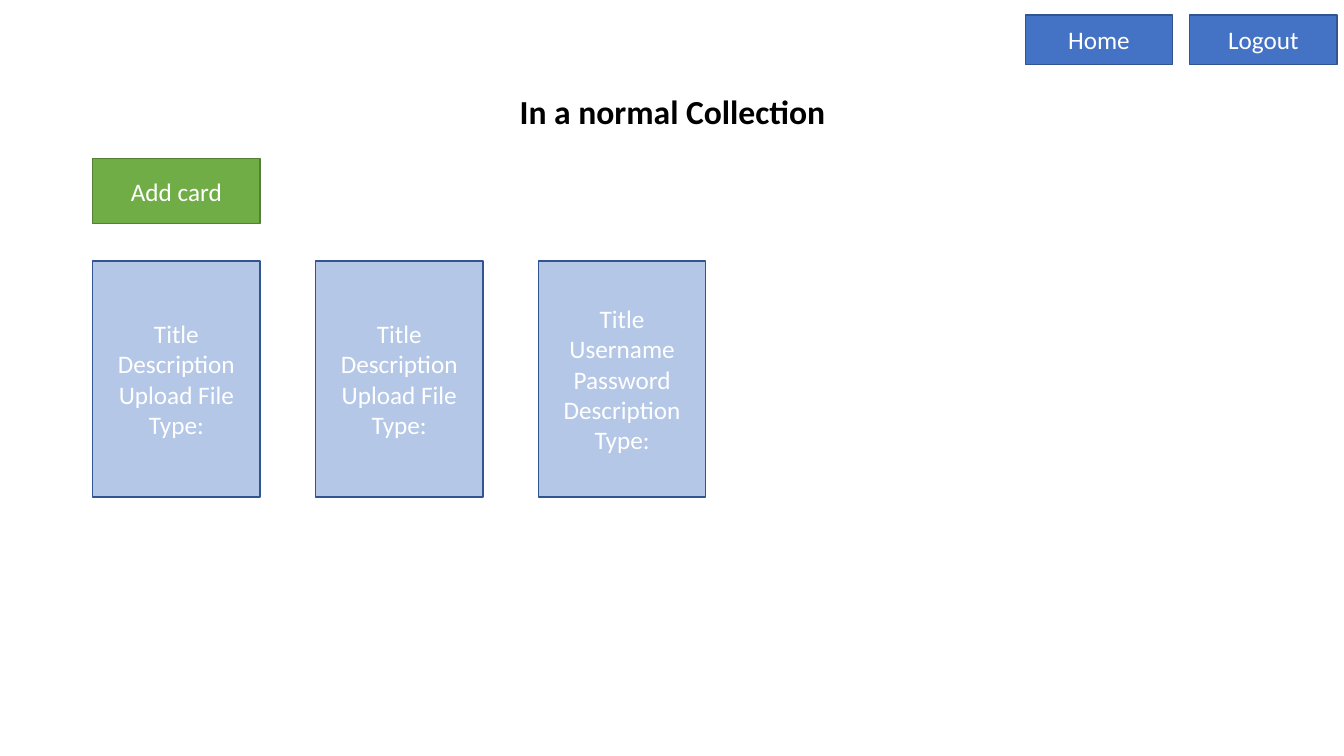
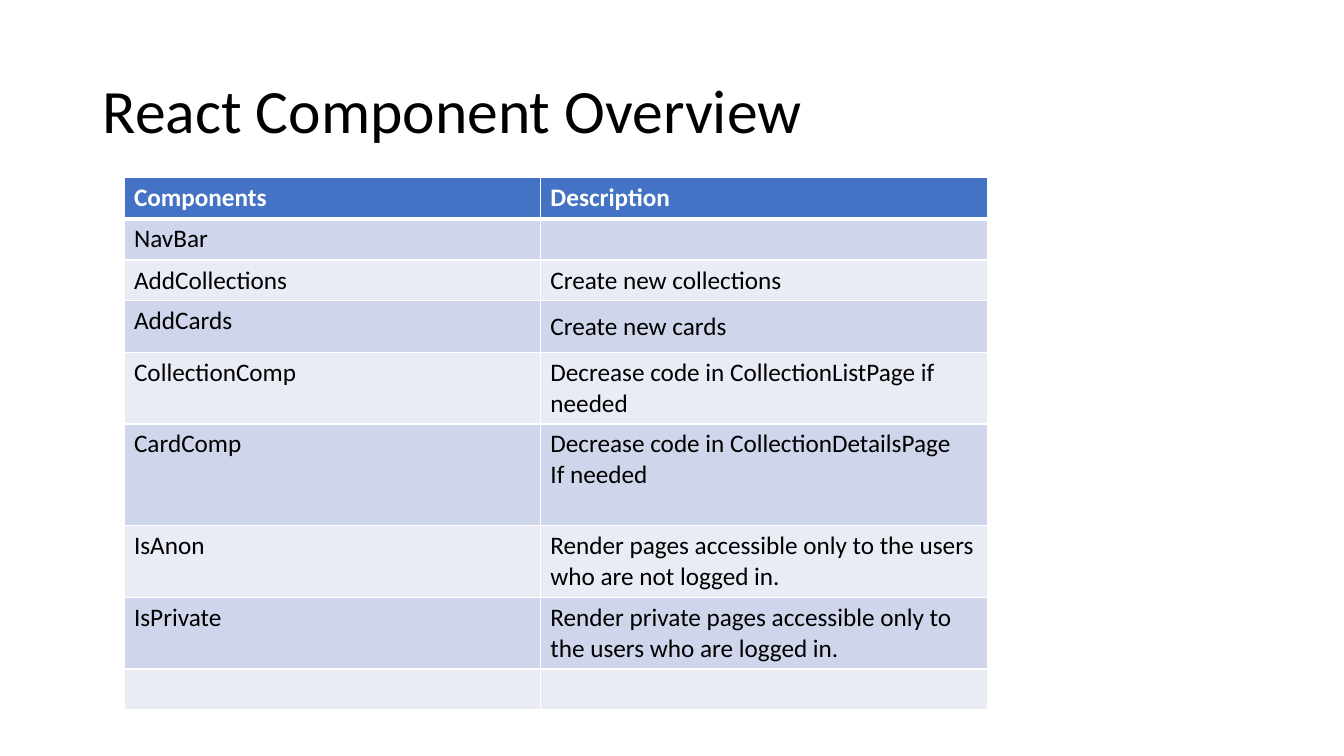
import pptx
import pptx.dml.color
import pptx.enum.shapes
import pptx.enum.text
import pptx.oxml.ns
import pptx.util
from lxml import etree

PX = 9144  # EMU per px, 100 px to the inch
TITLE_ONLY = 5
ALIGN = pptx.enum.text.PP_ALIGN
ANCHOR = pptx.enum.text.MSO_ANCHOR

# Shared colours
BLACK, WHITE = "000000", "FFFFFF"
BLUE, BLUE_EDGE = "4472C4", "325491"
GREEN, GREEN_EDGE = "70AD47", "538035"
CARD_BLUE = "B4C7E7"
BANDS = ("CFD5EA", "E9EBF5")


def px(length):
    return pptx.util.Emu(length * PX)


def color(code):
    return pptx.dml.color.RGBColor.from_string(code)


def apply(target, values):
    for name, value in values.items():
        setattr(target, name, value)


class SlideBuilder:
    """Holds the style and the current slide."""

    font = "Calibri"
    text_size = 18

    def __init__(self, deck):
        self.deck = deck
        self.page = None

    def new_page(self, title, **style):
        layout = self.deck.slide_layouts[TITLE_ONLY]
        self.page = self.deck.slides.add_slide(layout)
        box = self.page.shapes.title
        apply(box, {"left": px(92), "top": px(40),
                    "width": px(1150), "height": px(145)})
        apply(box.text_frame, {"word_wrap": True,
                               "auto_size": pptx.enum.text.MSO_AUTO_SIZE.NONE,
                               "vertical_anchor": ANCHOR.MIDDLE})
        self.add_text(box.text_frame, [title], line_spacing=0.9, **style)

    def add_text(self, frame, lines, size=text_size, code=BLACK, bold=False,
                 align=ALIGN.LEFT, line_spacing=1.0):
        for index, line in enumerate(lines):
            para = frame.add_paragraph() if index else frame.paragraphs[0]
            apply(para, {"alignment": align, "line_spacing": line_spacing})
            span = para.add_run()
            span.text = line
            apply(span.font, {"name": self.font, "bold": bold,
                              "size": pptx.util.Pt(size)})
            span.font.color.rgb = color(code)

    def box(self, left, top, width, height, lines, fill, edge):
        box = self.page.shapes.add_shape(
            pptx.enum.shapes.MSO_SHAPE.RECTANGLE,
            px(left), px(top), px(width), px(height))
        box.shadow.inherit = False
        box.fill.solid()
        box.fill.fore_color.rgb = color(fill)
        box.line.color.rgb = color(edge)
        box.line.width = pptx.util.Pt(1)
        apply(box.text_frame, {"word_wrap": True,
                               "vertical_anchor": ANCHOR.MIDDLE})
        self.add_text(box.text_frame, lines, code=WHITE, align=ALIGN.CENTER)

    def table(self, left, top, widths, heights, rows):
        table = self.page.shapes.add_table(
            len(rows), len(widths), px(left), px(top),
            px(sum(widths)), px(sum(heights))).table
        for column, width in zip(table.columns, widths):
            column.width = px(width)
        for row, height in zip(table.rows, heights):
            row.height = px(height)
        for r, row in enumerate(rows):
            header = r == 0
            for c, lines in enumerate(row):
                cell = table.cell(r, c)
                self.borders(cell, top=3 if r == 1 else 1,
                             bottom=3 if header else 1)
                cell.fill.solid()
                cell.fill.fore_color.rgb = color(
                    BLUE if header else BANDS[(r - 1) % 2])
                self.add_text(cell.text_frame, lines, bold=header,
                              code=WHITE if header else BLACK)
        return table

    def borders(self, cell, top, bottom):
        properties = cell._tc.get_or_add_tcPr()
        qn = pptx.oxml.ns.qn
        for side, points in zip("LRTB", (1, 1, top, bottom)):
            line = etree.SubElement(properties, qn("a:ln" + side),
                                    w=str(int(pptx.util.Pt(points))))
            fill = etree.SubElement(line, qn("a:solidFill"))
            etree.SubElement(fill, qn("a:srgbClr"), val=WHITE)


def collection_page(builder):
    builder.new_page("In a normal Collection", size=24, bold=True,
                     align=ALIGN.CENTER)
    # Navigation buttons
    for index, label in enumerate(("Home", "Logout")):
        builder.box(1017 + 163 * index, 15, 146, 49, [label], BLUE, BLUE_EDGE)
    builder.box(92, 157, 166, 65, ["Add card"], GREEN, GREEN_EDGE)
    # Cards
    file_card = ["Title", "Description", "Upload File", "Type:"]
    login_card = ["Title", "Username", "Password", "Description", "Type:"]
    for index, lines in enumerate((file_card, file_card, login_card)):
        builder.box(92 + 221 * index, 259, 166, 234, lines,
                    CARD_BLUE, BLUE_EDGE)


def components_page(builder):
    builder.new_page("React Component Overview", size=44)
    rows = [
        (["Components"], ["Description"]),
        (["NavBar"], []),
        (["AddCollections"], ["Create new collections"]),
        (["AddCards"], ["Create new cards"]),
        (["CollectionComp"],
         ["Decrease code in CollectionListPage if needed"]),
        (["CardComp"],
         ["Decrease code in CollectionDetailsPage", "If needed"]),
        (["IsAnon"], ["Render pages accessible only to the users "
                      "who are not logged in."]),
        (["IsPrivate"], ["Render private pages accessible only to "
                         "the users who are logged in."]),
        ([], []),
    ]
    heights = (41, 41, 40, 51, 71, 101, 71, 71, 40)
    table = builder.table(123, 176, (413, 444), heights, rows)
    # The new cards text sits in the middle of its taller row
    margins = ("margin_left", "margin_right", "margin_top", "margin_bottom")
    cell = table.cell(3, 1)
    apply(cell, dict.fromkeys(margins, px(10)))
    cell.vertical_anchor = ANCHOR.MIDDLE


def main():
    deck = pptx.Presentation()
    apply(deck, {"slide_width": px(1333), "slide_height": px(750)})
    builder = SlideBuilder(deck)
    collection_page(builder)
    components_page(builder)
    deck.save("out.pptx")


if __name__ == "__main__":
    main()
